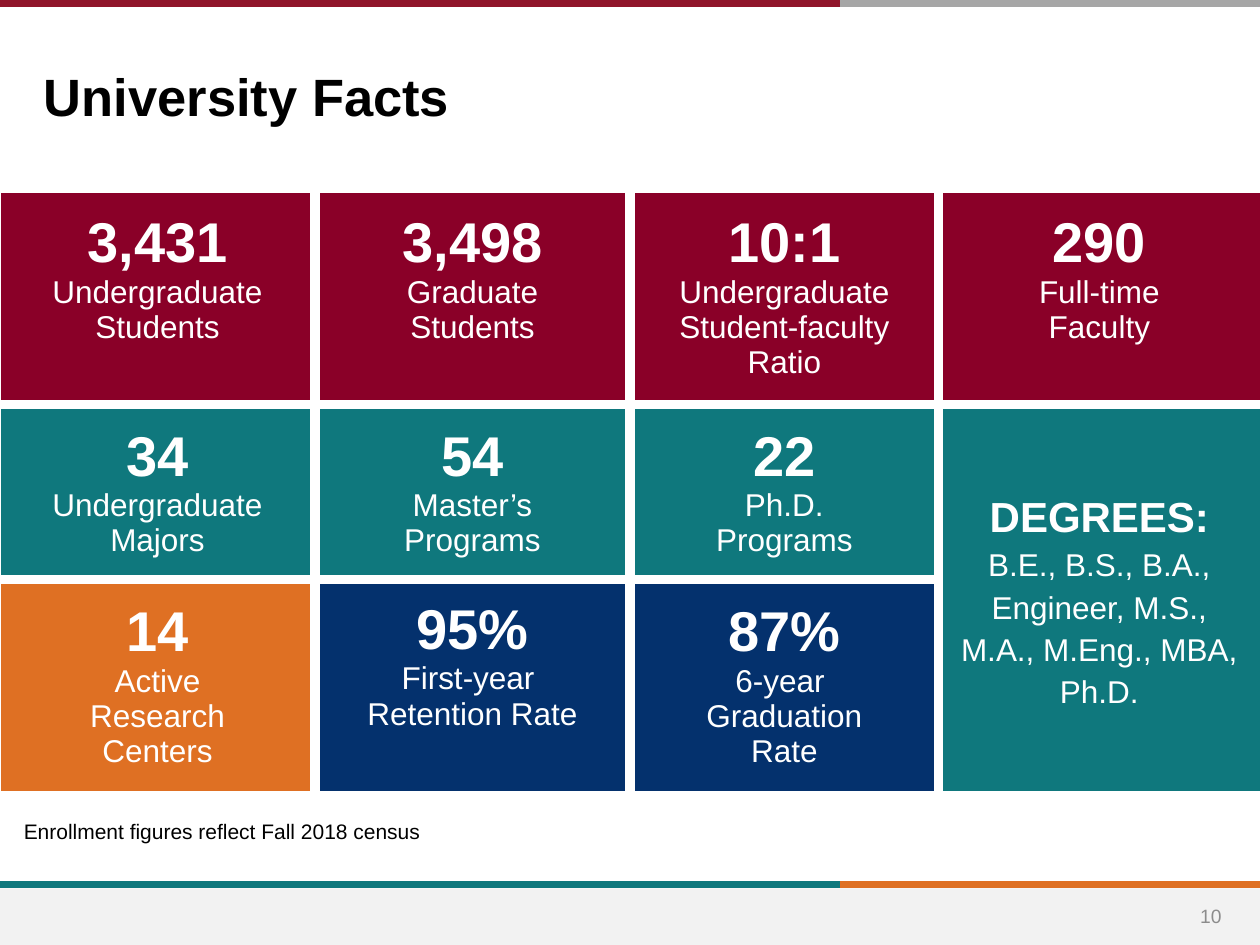
"""Build the University Facts slide: a grid of key figures between coloured rules."""
from dataclasses import dataclass
from typing import Any

from lxml import etree
from pptx import Presentation, util as u
from pptx.dml.color import RGBColor
from pptx.enum import shapes, text
from pptx.oxml import ns

MAROON, TEAL, ORANGE, NAVY = "8A0028", "0F787D", "DF7023", "04316D"
WHITE, BLACK = "FFFFFF", "000000"
TOP, MIDDLE = text.MSO_ANCHOR.TOP, text.MSO_ANCHOR.MIDDLE
LEFT, CENTER = text.PP_ALIGN.LEFT, text.PP_ALIGN.CENTER
COLUMNS = (2.5, 2.5, 2.45, 2.55)
ROWS = (1.68, 1.39, 1.68)
SPLIT = 6.67


@dataclass(frozen=True)
class Fact:
    figure: str
    label: tuple[str, ...]
    fill: str
    anchor: Any = MIDDLE
    figure_size: int = 32
    spacing: float = 1.0
    span: int = 1


@dataclass(frozen=True)
class Rule:
    start: float
    end: float
    y: float
    color: str


@dataclass(frozen=True)
class Label:
    words: str
    box: tuple[float, float, float, float]
    size: int
    color: str = BLACK
    bold: bool = False
    align: Any = LEFT
    anchor: Any = TOP


FACTS = (
    (
        Fact("3,431", ("Undergraduate", "Students"), MAROON, TOP),
        Fact("3,498", ("Graduate", "Students"), MAROON, TOP),
        Fact("10:1", ("Undergraduate Student-faculty Ratio",), MAROON, TOP),
        Fact("290", ("Full-time", "Faculty"), MAROON, TOP),
    ),
    (
        Fact("34", ("Undergraduate Majors",), TEAL),
        Fact("54", ("Master’s", "Programs"), TEAL),
        Fact("22", ("Ph.D.", "Programs"), TEAL),
        Fact("DEGREES:", ("B.E., B.S., B.A., Engineer, M.S., M.A., M.Eng., MBA, Ph.D.",),
             TEAL, figure_size=24, spacing=1.2, span=2),
    ),
    (
        Fact("14", ("Active", "Research", "Centers"), ORANGE),
        Fact("95%", ("First-year \vRetention Rate",), NAVY, TOP),
        Fact("87%", ("6-year ", "Graduation", "Rate"), NAVY),
    ),
)
RULES = (
    Rule(SPLIT, 10, 7.02, ORANGE),
    Rule(0, SPLIT, 7.02, TEAL),
    Rule(SPLIT, 10, 0.03, "A6A6A6"),
    Rule(0, SPLIT, 0.03, "90152A"),
)
LABELS = (
    Label("10", (9.35, 7.07, 0.52, 0.4), 11, "8C8C8C", align=CENTER, anchor=MIDDLE),
    Label("University Facts", (0.25, 0.46, 7.99, 0.59), 30, bold=True),
    Label("Enrollment figures reflect Fall 2018 census", (0.09, 6.45, 5.32, 0.3), 12),
)


def rgb(color: str) -> RGBColor:
    """Turn a hex string into a colour."""
    return RGBColor.from_string(color)


def apply(target: Any, values: dict[str, Any]) -> None:
    """Set each named value on the target."""
    for name, value in values.items():
        setattr(target, name, value)


def paint(target: Any, color: str) -> None:
    """Give a shape or cell a solid fill."""
    target.fill.solid()
    target.fill.fore_color.rgb = rgb(color)


def write(paragraph: Any, words: str, size: int, color: str, bold: bool,
          layout: dict[str, Any]) -> None:
    """Fill one paragraph with formatted words."""
    paragraph.text = words
    apply(paragraph, layout)
    for run in paragraph.runs:
        apply(run.font, {"name": "Arial", "size": u.Pt(size), "bold": bold})
        run.font.color.rgb = rgb(color)


def draw_rule(slide: Any, rule: Rule) -> None:
    """Draw a horizontal coloured rule."""
    line = slide.shapes.add_connector(
        shapes.MSO_CONNECTOR.STRAIGHT, u.Inches(rule.start), u.Inches(rule.y),
        u.Inches(rule.end), u.Inches(rule.y))
    line.line.width = u.Pt(4)
    line.line.color.rgb = rgb(rule.color)
    etree.SubElement(line._element.spPr, ns.qn("a:effectLst"))


def draw_footer(slide: Any) -> None:
    """Draw the pale band along the bottom."""
    band = slide.shapes.add_shape(
        shapes.MSO_SHAPE.RECTANGLE, 0, u.Inches(7.05), u.Inches(10), u.Inches(0.45))
    band.shadow.inherit = False
    band.line.fill.background()
    paint(band, "F2F2F2")


def draw_label(slide: Any, label: Label) -> None:
    """Draw one free-standing line of text."""
    frame = slide.shapes.add_textbox(*map(u.Inches, label.box)).text_frame
    apply(frame, {"word_wrap": True, "vertical_anchor": label.anchor})
    write(frame.paragraphs[0], label.words, label.size, label.color, label.bold,
          {"alignment": label.align})


def draw_borders(cell: Any, outer: dict[str, bool]) -> None:
    """Add white cell borders, thin on the outside of the grid."""
    properties = cell._tc.get_or_add_tcPr()
    for position, (side, is_outer) in enumerate(outer.items()):
        border = etree.Element(ns.qn(f"a:ln{side}"), w=str(u.Pt(0.5 if is_outer else 6)))
        fill = etree.SubElement(border, ns.qn("a:solidFill"))
        etree.SubElement(fill, ns.qn("a:srgbClr"), val=WHITE)
        properties.insert(position, border)


def draw_fact(table: Any, row: int, column: int, fact: Fact) -> None:
    """Fill one grid cell with a figure and its label."""
    cell = table.cell(row, column)
    last_row = row + fact.span - 1
    if fact.span > 1:
        cell.merge(table.cell(last_row, column))
    margins = dict.fromkeys(
        ("margin_left", "margin_top", "margin_right", "margin_bottom"), u.Inches(0.15))
    apply(cell, {**margins, "vertical_anchor": fact.anchor})
    paint(cell, fact.fill)
    draw_borders(cell, {"L": column == 0, "R": column == len(COLUMNS) - 1,
                        "T": row == 0, "B": last_row == len(ROWS) - 1})
    layout = {"alignment": CENTER, "line_spacing": fact.spacing}
    frame = cell.text_frame
    write(frame.paragraphs[0], fact.figure, fact.figure_size, WHITE, True, layout)
    for words in fact.label:
        write(frame.add_paragraph(), words, 18, WHITE, False, layout)


def draw_facts(slide: Any) -> None:
    """Draw the grid of university facts."""
    table = slide.shapes.add_table(
        len(ROWS), len(COLUMNS), 0, u.Inches(1.53), u.Inches(sum(COLUMNS)),
        u.Inches(sum(ROWS))).table
    for column, width in zip(table.columns, COLUMNS):
        column.width = u.Inches(width)
    for row, height in zip(table.rows, ROWS):
        row.height = u.Inches(height)
    for row_index, facts in enumerate(FACTS):
        for column_index, fact in enumerate(facts):
            draw_fact(table, row_index, column_index, fact)


def main() -> None:
    """Build and save the slide."""
    deck = Presentation()
    apply(deck, {"slide_width": u.Inches(10), "slide_height": u.Inches(7.5)})
    slide = deck.slides.add_slide(deck.slide_layouts[6])
    for rule in RULES:
        draw_rule(slide, rule)
    draw_footer(slide)
    draw_facts(slide)
    for label in LABELS:
        draw_label(slide, label)
    deck.save("out.pptx")


if __name__ == "__main__":
    main()
